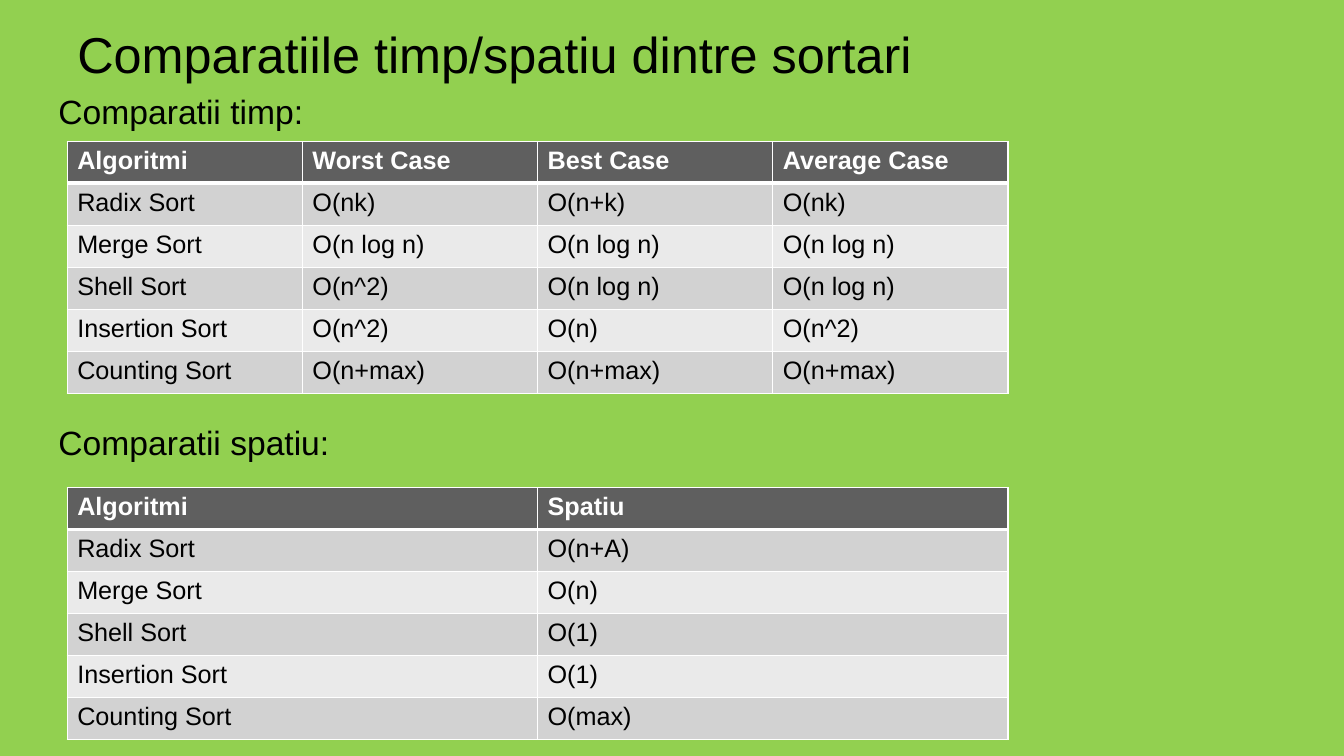
import pptx
import pptx.dml.color
import pptx.enum.text
import pptx.oxml
import pptx.oxml.ns
import pptx.util

RGBColor = pptx.dml.color.RGBColor
GREEN = RGBColor(0x92, 0xD0, 0x50)
BLACK = RGBColor(0x00, 0x00, 0x00)
WHITE = RGBColor(0xFF, 0xFF, 0xFF)
HEADER = RGBColor(0x5F, 0x5F, 0x5F)
BANDS = [RGBColor(0xEA, 0xEA, 0xEA), RGBColor(0xD2, 0xD2, 0xD2)]

ALGORITHMS = ["Radix Sort", "Merge Sort", "Shell Sort", "Insertion Sort", "Counting Sort"]
TIME = [
    ("Worst Case", "Best Case", "Average Case"),
    ("O(nk)", "O(n+k)", "O(nk)"),
    ("O(n log n)", "O(n log n)", "O(n log n)"),
    ("O(n^2)", "O(n log n)", "O(n log n)"),
    ("O(n^2)", "O(n)", "O(n^2)"),
    ("O(n+max)", "O(n+max)", "O(n+max)"),
]
SPACE = [("Spatiu",), ("O(n+A)",), ("O(n)",), ("O(1)",), ("O(1)",), ("O(max)",)]


def add_run(p, text, size, color=BLACK, bold=False):
    """Add one formatted Arial run to a paragraph."""
    r = p.add_run()
    r.text = text
    r.font.name = "Arial"
    r.font.size = pptx.util.Pt(size)
    r.font.bold = bold
    r.font.color.rgb = color


def add_border(cell, side, points):
    """Draw a white border on one side (L, R, T or B) of a cell."""
    cell._tc.get_or_add_tcPr().append(pptx.oxml.parse_xml(
        f'<a:ln{side} {pptx.oxml.ns.nsdecls("a")} w="{pptx.util.Pt(points)}">'
        f'<a:solidFill><a:srgbClr val="{WHITE}"/></a:solidFill></a:ln{side}>'))


prs = pptx.Presentation()
prs.slide_width = pptx.util.Inches(13.33)
prs.slide_height = pptx.util.Inches(7.5)
W, H = prs.slide_width, prs.slide_height
col, row = W // 40, H // 18

s = prs.slides.add_slide(prs.slide_layouts[1])
s.background.fill.solid()
s.background.fill.fore_color.rgb = GREEN

# Title
title = s.shapes.title
title.left, title.top = 2 * col, int(0.028 * H)
title.width, title.height = 36 * col, int(0.085 * H)
tf = title.text_frame
tf.auto_size = pptx.enum.text.MSO_AUTO_SIZE.NONE
tf.vertical_anchor = pptx.enum.text.MSO_ANCHOR.MIDDLE
p = tf.paragraphs[0]
p.alignment = pptx.enum.text.PP_ALIGN.LEFT
add_run(p, "Comparatiile timp/spatiu dintre sortari", 36)

# Headings of the two tables, the second pushed below the first table
body = s.placeholders[1]
body.left, body.top = int(0.036 * W), int(0.113 * H)
body.width, body.height = int(0.943 * W), int(0.805 * H)
tf = body.text_frame
tf.auto_size = pptx.enum.text.MSO_AUTO_SIZE.NONE
tf.vertical_anchor = pptx.enum.text.MSO_ANCHOR.TOP
headings = [("Comparatii timp:", 0), ("Comparatii spatiu:", 208)]
for i, (text, gap) in enumerate(headings):
    p = tf.add_paragraph() if i else tf.paragraphs[0]
    p.space_before = pptx.util.Pt(gap)
    pPr = p._p.get_or_add_pPr()
    pPr.set("marL", "0")
    pPr.set("indent", "0")
    pPr.append(pptx.oxml.parse_xml(f'<a:buNone {pptx.oxml.ns.nsdecls("a")}/>'))
    add_run(p, text, 24)

# Comparison tables
for top, costs in [(0.187, TIME), (0.645, SPACE)]:
    rows = [(name, *cost) for name, cost in zip(["Algoritmi"] + ALGORITHMS, costs)]
    n = len(rows[0])
    table = s.shapes.add_table(
        len(rows), n, 2 * col, int(top * H), 28 * col, len(rows) * row).table
    for i, values in enumerate(rows):
        table.rows[i].height = row
        for j, text in enumerate(values):
            table.columns[j].width = 28 * col // n
            cell = table.cell(i, j)
            add_border(cell, "L", 1)
            add_border(cell, "R", 1)
            add_border(cell, "T", 3 if i == 1 else 1)
            add_border(cell, "B", 3 if i == 0 else 1)
            cell.fill.solid()
            cell.fill.fore_color.rgb = BANDS[i % 2] if i else HEADER
            add_run(cell.text_frame.paragraphs[0], text, 18,
                    BLACK if i else WHITE, bold=i == 0)

prs.save("out.pptx")
